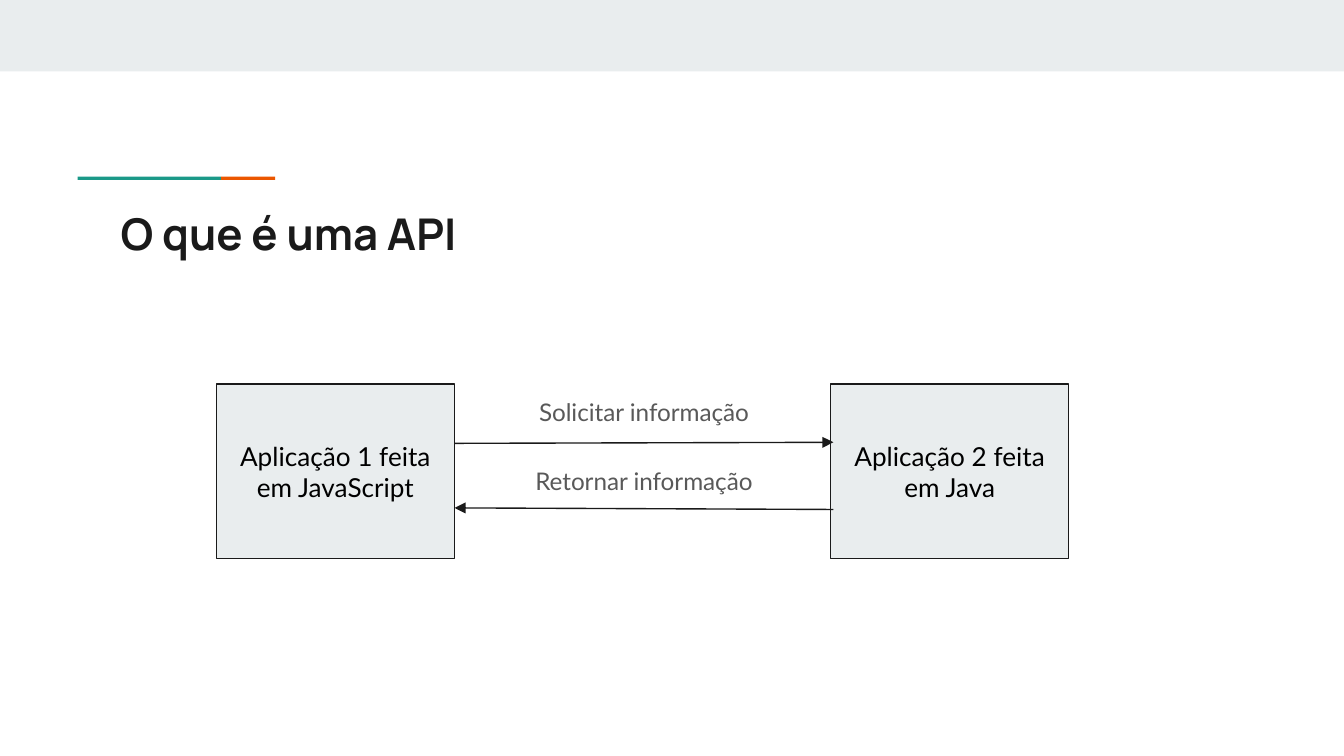
from dataclasses import dataclass

from lxml import etree
from pptx import Presentation
from pptx.dml.color import RGBColor
from pptx.enum.shapes import MSO_CONNECTOR, MSO_SHAPE
from pptx.enum.text import MSO_ANCHOR, MSO_AUTO_SIZE, PP_ALIGN
from pptx.oxml.ns import qn
from pptx.util import Cm, Pt

RECTANGLE = MSO_SHAPE.RECTANGLE
STRAIGHT = MSO_CONNECTOR.STRAIGHT
TOP, MIDDLE = MSO_ANCHOR.TOP, MSO_ANCHOR.MIDDLE
LEFT, CENTER = PP_ALIGN.LEFT, PP_ALIGN.CENTER
NO_AUTOFIT = MSO_AUTO_SIZE.NONE
TITLE_ONLY = 5


@dataclass(frozen=True)
class Theme:
    panel: str = "E9EDEE"
    ink: str = "1A1A1A"
    box_text: str = "000000"
    label_text: str = "595959"
    teal: str = "1A9988"
    orange: str = "EB5600"
    title_font: str = "Manrope"
    body_font: str = "Lato"
    title_size: float = 23.4
    box_size: float = 14
    label_size: float = 13
    line_width: float = 0.75
    inset: float = 0.25


class Diagram:
    """Draws on one page in one theme; all lengths are centimetres."""

    def __init__(self, page, theme):
        self.page = page
        self.theme = theme

    def set_text(self, shape, text, font, size, color, align=CENTER, anchor=TOP, bold=False):
        frame = shape.text_frame
        frame.text = text
        frame.word_wrap = True
        frame.auto_size = NO_AUTOFIT
        frame.vertical_anchor = anchor
        inset = Cm(self.theme.inset)
        frame.margin_left = frame.margin_right = inset
        frame.margin_top = frame.margin_bottom = inset
        para = frame.paragraphs[0]
        para.alignment = align
        para.font.name = font
        para.font.size = Pt(size)
        para.font.bold = bold
        para.font.color.rgb = RGBColor.from_string(color)

    def title(self, text, left, top, width, height):
        title = self.page.shapes.title
        title.left, title.top = Cm(left), Cm(top)
        title.width, title.height = Cm(width), Cm(height)
        self.set_text(title, text, self.theme.title_font, self.theme.title_size,
                      self.theme.ink, align=LEFT, bold=True)

    def bar(self, left, top, width, height, color):
        bar = self.page.shapes.add_shape(RECTANGLE, Cm(left), Cm(top), Cm(width), Cm(height))
        bar.shadow.inherit = False
        bar.fill.solid()
        bar.fill.fore_color.rgb = RGBColor.from_string(color)
        bar.line.fill.background()
        return bar

    def outline(self, line):
        line.color.rgb = RGBColor.from_string(self.theme.ink)
        line.width = Pt(self.theme.line_width)

    def box(self, text, left, top, width, height):
        box = self.bar(left, top, width, height, self.theme.panel)
        self.outline(box.line)
        self.set_text(box, text, self.theme.body_font, self.theme.box_size,
                      self.theme.box_text, anchor=MIDDLE)

    def label(self, text, left, top, width, height):
        label = self.page.shapes.add_textbox(Cm(left), Cm(top), Cm(width), Cm(height))
        self.set_text(label, text, self.theme.body_font, self.theme.label_size,
                      self.theme.label_text)

    def arrow(self, start_x, start_y, end_x, end_y):
        arrow = self.page.shapes.add_connector(
            STRAIGHT, Cm(start_x), Cm(start_y), Cm(end_x), Cm(end_y))
        self.outline(arrow.line)
        properties = arrow._element.spPr
        etree.SubElement(properties.find(qn("a:ln")), qn("a:tailEnd"), type="triangle")
        etree.SubElement(properties, qn("a:effectLst"))


def main():
    deck = Presentation()
    deck.slide_width, deck.slide_height = Cm(25.4), Cm(14.29)
    page = deck.slides.add_slide(deck.slide_layouts[TITLE_ONLY])
    theme = Theme()
    diagram = Diagram(page, theme)

    diagram.bar(0, 0, 25.4, 1.35, theme.panel)
    diagram.bar(1.47, 3.34, 2.71, 0.06, theme.teal)
    diagram.bar(4.18, 3.34, 1.02, 0.06, theme.orange)
    diagram.title("O que é uma API", 2.03, 3.66, 21.36, 1.5)

    box_top, box_width, box_height = 7.26, 4.5, 3.3
    first_left, second_left = 4.09, 15.7
    diagram.box("Aplicação 1 feita em JavaScript", first_left, box_top, box_width, box_height)
    diagram.box("Aplicação 2 feita em Java", second_left, box_top, box_width, box_height)

    gap_left, gap_right = first_left + box_width, 15.75
    diagram.arrow(gap_left, 8.38, gap_right, 8.36)
    diagram.arrow(gap_right, 9.63, gap_left, 9.6)

    label_width, label_height, label_step = gap_right - gap_left, 1.07, 1.3
    for row, text in enumerate(("Solicitar informação", "Retornar informação")):
        diagram.label(text, gap_left, box_top + row * label_step, label_width, label_height)

    deck.save("out.pptx")


if __name__ == "__main__":
    main()
